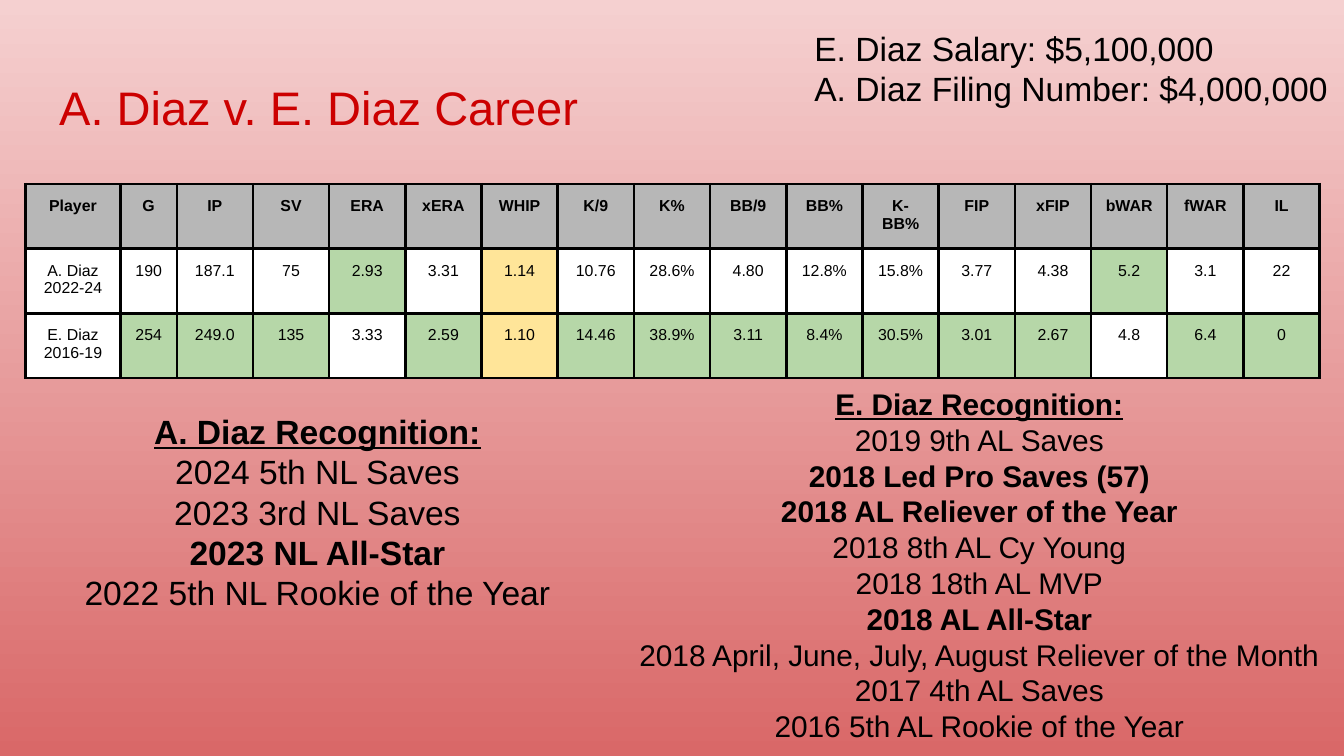
from lxml import etree
from pptx import Presentation
from pptx.dml.color import RGBColor
from pptx.enum import text
from pptx.oxml.ns import qn
from pptx.util import Cm, Pt

FONT = "Arial"
BLACK = RGBColor(0x00, 0x00, 0x00)
WHITE = RGBColor(0xFF, 0xFF, 0xFF)
RED = RGBColor(0xCC, 0x00, 0x00)
GREY = RGBColor(0xB7, 0xB7, 0xB7)
GREEN = RGBColor(0xB6, 0xD7, 0xA8)
YELLOW = RGBColor(0xFF, 0xE5, 0x99)
BG_TOP = RGBColor(0xF5, 0xD0, 0xD0)
BG_BOTTOM = RGBColor(0xD9, 0x68, 0x68)

INSET = Cm(0.25)
BORDER = Pt(1.5)
COLUMN_WIDTHS = [1.8, 1.06] + [1.44] * 15
ROW_HEIGHT = Cm(1.07)

STATS = [
    ["Player", "G", "IP", "SV", "ERA", "xERA", "WHIP", "K/9", "K%", "BB/9",
     "BB%", "K-\nBB%", "FIP", "xFIP", "bWAR", "fWAR", "IL"],
    ["A. Diaz\n2022-24", "190", "187.1", "75", "2.93", "3.31", "1.14", "10.76",
     "28.6%", "4.80", "12.8%", "15.8%", "3.77", "4.38", "5.2", "3.1", "22"],
    ["E. Diaz\n2016-19", "254", "249.0", "135", "3.33", "2.59", "1.10", "14.46",
     "38.9%", "3.11", "8.4%", "30.5%", "3.01", "2.67", "4.8", "6.4", "0"],
]
A_LEADS = {"ERA", "bWAR"}
EVEN = {"WHIP"}

SALARIES = ["E. Diaz Salary: $5,100,000", "A. Diaz Filing Number: $4,000,000"]
A_RECOGNITION = [
    "A. Diaz Recognition:",
    "2024 5th NL Saves",
    "2023 3rd NL Saves",
    "2023 NL All-Star",
    "2022 5th NL Rookie of the Year",
]
E_RECOGNITION = [
    "E. Diaz Recognition:",
    "2019 9th AL Saves",
    "2018 Led Pro Saves (57)",
    "2018 AL Reliever of the Year",
    "2018 8th AL Cy Young",
    "2018 18th AL MVP",
    "2018 AL All-Star",
    "2018 April, June, July, August Reliever of the Month",
    "2017 4th AL Saves",
    "2016 5th AL Rookie of the Year",
]


def set_background(slide):
    fill = slide.background.fill
    fill.gradient()
    fill.gradient_angle = 270
    for stop, color in zip(fill.gradient_stops, (BG_TOP, BG_BOTTOM)):
        stop.color.rgb = color


def add_lines(tf, lines, size, color=BLACK, align=None, bold=(), underline=()):
    """Write one paragraph per line; bold and underline hold line indexes."""
    for i, line in enumerate(lines):
        p = tf.paragraphs[0] if i == 0 else tf.add_paragraph()
        p.alignment = align
        r = p.add_run()
        r.text = line
        r.font.name = FONT
        r.font.size = Pt(size)
        r.font.color.rgb = color
        r.font.bold = i in bold
        r.font.underline = i in underline


def add_text(slide, left, top, width, height, lines, size, **style):
    sp = slide.shapes.add_textbox(Cm(left), Cm(top), Cm(width), Cm(height))
    tf = sp.text_frame
    tf.word_wrap = True
    tf.margin_left = tf.margin_right = tf.margin_top = tf.margin_bottom = INSET
    add_lines(tf, lines, size, **style)


def add_recognition(slide, left, top, width, lines, size, honors):
    add_text(slide, left, top, width, 5.36, lines, size, align=text.PP_ALIGN.CENTER,
             bold={0} | honors, underline={0})


def set_borders(cell):
    tc_pr = cell._tc.get_or_add_tcPr()
    for side in ("a:lnL", "a:lnR", "a:lnT", "a:lnB"):
        ln = etree.SubElement(tc_pr, qn(side), w=str(BORDER))
        fill = etree.SubElement(ln, qn("a:solidFill"))
        etree.SubElement(fill, qn("a:srgbClr"), val=str(BLACK))


def stat_color(row, stat):
    """Green marks the leader of each statistic, yellow an even one."""
    if row == 0:
        return GREY
    if stat == "Player":
        return WHITE
    if stat in EVEN:
        return YELLOW
    leader = 1 if stat in A_LEADS else 2
    return GREEN if row == leader else WHITE


def add_stats_table(slide):
    frame = slide.shapes.add_table(
        len(STATS), len(COLUMN_WIDTHS), Cm(0.48), Cm(3.48),
        Cm(sum(COLUMN_WIDTHS)), ROW_HEIGHT * len(STATS))
    table = frame.table
    table.first_row = table.horz_banding = False
    for column, width in zip(table.columns, COLUMN_WIDTHS):
        column.width = Cm(width)
    for i, values in enumerate(STATS):
        table.rows[i].height = ROW_HEIGHT
        for j, value in enumerate(values):
            cell = table.cell(i, j)
            cell.margin_left = cell.margin_right = INSET
            cell.margin_top = cell.margin_bottom = INSET
            set_borders(cell)
            cell.fill.solid()
            cell.fill.fore_color.rgb = stat_color(i, STATS[0][j])
            add_lines(cell.text_frame, value.split("\n"), 8.5,
                      align=text.PP_ALIGN.CENTER, bold={0, 1} if i == 0 else ())


def main():
    prs = Presentation()
    prs.slide_width, prs.slide_height = Cm(25.4), Cm(14.29)
    slide = prs.slides.add_slide(prs.slide_layouts[6])
    set_background(slide)
    add_text(slide, 0.87, 1.24, 23.67, 1.6, ["A. Diaz v. E. Diaz Career"], 25.2, color=RED)
    add_stats_table(slide)
    add_text(slide, 15.14, 0.28, 10.26, 1.42, SALARIES, 18)
    add_recognition(slide, 10.26, 7.04, 16.5, E_RECOGNITION, 16, honors={2, 3, 6})
    add_recognition(slide, 0.87, 7.52, 10.26, A_RECOGNITION, 18, honors={3})
    prs.save("out.pptx")


if __name__ == "__main__":
    main()
